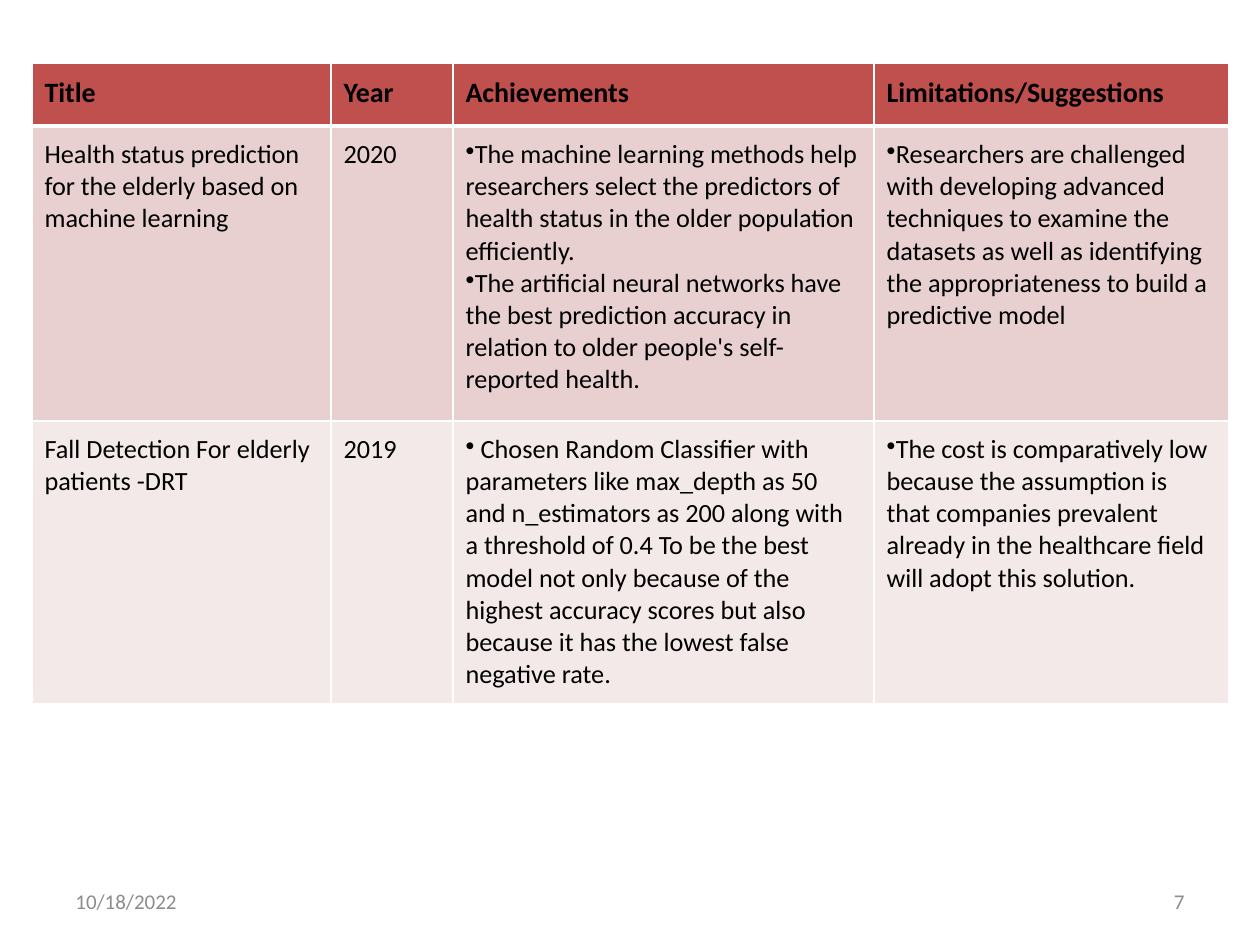
from lxml import etree
from pptx import Presentation
from pptx import util as u
from pptx.dml.color import RGBColor
from pptx.enum import text
from pptx.oxml.ns import qn

SCALE = 914400 / 126
FONT = "Calibri"
COLORS = {
    "header": "C0504D",
    "odd": "E8D0D0",
    "even": "F4E9E9",
    "border": "FFFFFF",
    "text": "000000",
    "footer": "8C8C8C",
}
COLUMN_WIDTHS = [299, 122, 421, 355]
ROW_HEIGHTS = [63, 295, 261]
ROW_FILLS = ["header", "odd", "even"]
BULLET_COLUMNS = (2, 3)
ROWS = [
    [["Title"], ["Year"], ["Achievements"], ["Limitations/Suggestions"]],
    [
        ["Health status prediction for the elderly based on machine learning"],
        ["2020"],
        [
            "The machine learning methods help researchers select the predictors of "
            "health status in the older population efficiently.",
            "The artificial neural networks have the best prediction accuracy in "
            "relation to older people's self-reported health.",
        ],
        [
            "Researchers are challenged with developing advanced techniques to examine "
            "the datasets as well as identifying the appropriateness to build a "
            "predictive model",
        ],
    ],
    [
        ["Fall Detection For elderly patients -DRT"],
        ["2019"],
        [
            " Chosen Random Classifier with parameters like max_depth as 50 and "
            "n_estimators as 200 along with a threshold of 0.4 To be the best model "
            "not only because of the highest accuracy scores but also because it has "
            "the lowest false negative rate.",
        ],
        [
            "The cost is comparatively low because the assumption is that companies "
            "prevalent already in the healthcare field will adopt this solution.",
        ],
    ],
]


def px(length):
    return u.Emu(round(length * SCALE))


def color(name):
    return RGBColor.from_string(COLORS[name])


def style_font(paragraph, size, color_name, bold=False):
    font = paragraph.font
    font.name = FONT
    font.size = u.Pt(size)
    font.bold = bold
    font.color.rgb = color(color_name)


def add_bullet(paragraph):
    properties = paragraph._p.get_or_add_pPr()
    properties.set("marL", "0")
    properties.set("indent", "0")
    bullet = etree.Element(qn("a:buChar"), char="•")
    default_run = properties.find(qn("a:defRPr"))
    if default_run is None:
        properties.append(bullet)
    else:
        default_run.addprevious(bullet)


def set_borders(cell, widths):
    properties = cell._tc.get_or_add_tcPr()
    for position, (side, width) in enumerate(widths.items()):
        line = etree.Element(qn(f"a:ln{side}"), w=str(u.Pt(width)))
        fill = etree.SubElement(line, qn("a:solidFill"))
        etree.SubElement(fill, qn("a:srgbClr"), val=COLORS["border"])
        properties.insert(position, line)


def fill_cell(cell, lines, row, column):
    header = row == 0
    cell.fill.solid()
    cell.fill.fore_color.rgb = color(ROW_FILLS[row])
    cell.margin_left = cell.margin_right = u.Inches(0.1)
    cell.margin_top = cell.margin_bottom = u.Inches(0.1)
    frame = cell.text_frame
    for index, line in enumerate(lines):
        paragraph = frame.add_paragraph() if index else frame.paragraphs[0]
        paragraph.text = line
        style_font(paragraph, 16 if header else 15, "text", header)
        if not header and column in BULLET_COLUMNS:
            add_bullet(paragraph)
    set_borders(cell, {"L": 1, "R": 1, "T": 3 if row == 1 else 1, "B": 3 if header else 1})


def add_literature_table(slide):
    table = slide.shapes.add_table(
        len(ROWS), len(COLUMN_WIDTHS), px(32), px(63),
        px(sum(COLUMN_WIDTHS)), px(sum(ROW_HEIGHTS)),
    ).table
    for column, width in zip(table.columns, COLUMN_WIDTHS):
        column.width = px(width)
    for row, height in zip(table.rows, ROW_HEIGHTS):
        row.height = px(height)
    for row, cells in enumerate(ROWS):
        for column, lines in enumerate(cells):
            fill_cell(table.cell(row, column), lines, row, column)


def add_footer(slide, left, content, alignment):
    frame = slide.shapes.add_textbox(px(left), px(876), px(294), px(50)).text_frame
    frame.word_wrap = True
    frame.vertical_anchor = text.MSO_ANCHOR.MIDDLE
    paragraph = frame.paragraphs[0]
    paragraph.text = content
    paragraph.alignment = alignment
    style_font(paragraph, 12, "footer")


def main():
    presentation = Presentation()
    presentation.slide_width = px(1260)
    presentation.slide_height = px(945)
    slide = presentation.slides.add_slide(presentation.slide_layouts[6])
    add_literature_table(slide)
    add_footer(slide, 63, "10/18/2022", text.PP_ALIGN.LEFT)
    add_footer(slide, 903, "7", text.PP_ALIGN.RIGHT)
    presentation.save("out.pptx")


if __name__ == "__main__":
    main()
